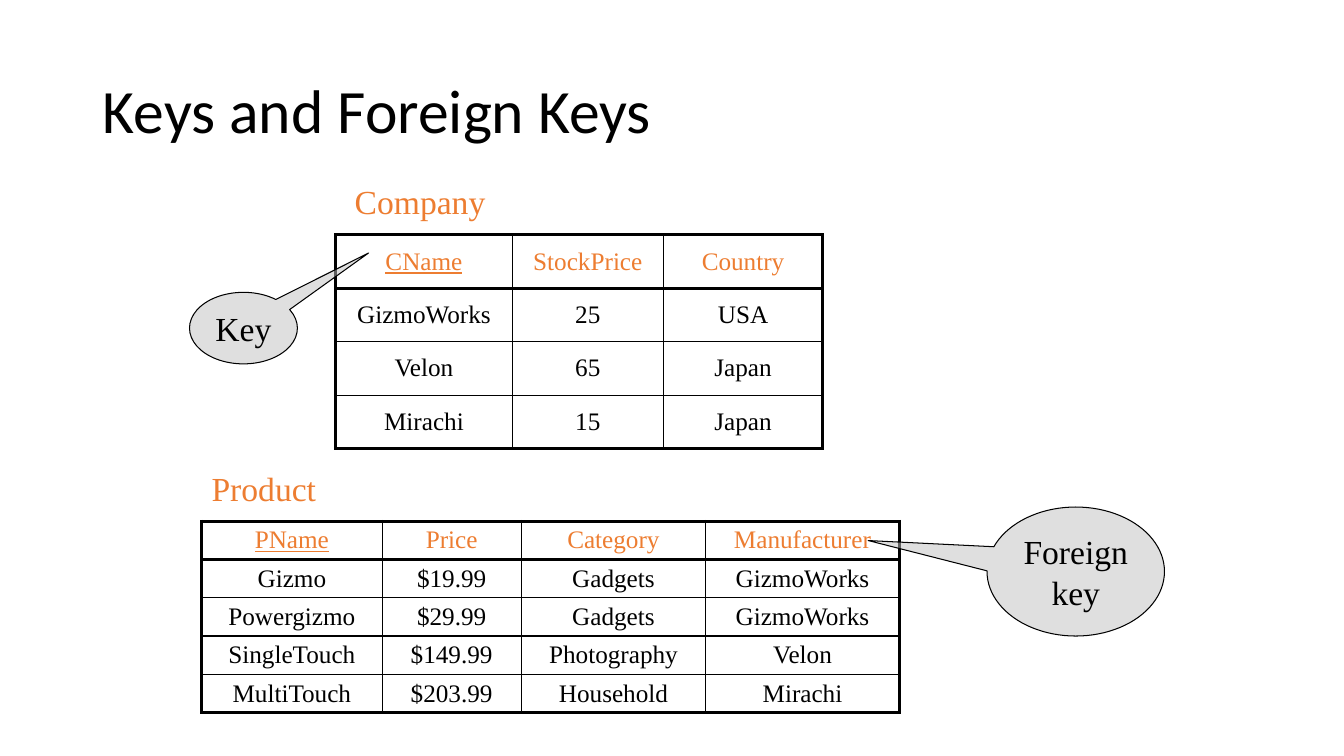
from lxml import etree
from pptx import Presentation
from pptx.dml.color import RGBColor
from pptx.enum.shapes import MSO_SHAPE
from pptx.enum.text import MSO_ANCHOR, PP_ALIGN
from pptx.oxml.ns import qn
from pptx.util import Inches, Pt

BALLOON = MSO_SHAPE.OVAL_CALLOUT
MIDDLE = MSO_ANCHOR.MIDDLE
CENTER, LEFT = PP_ALIGN.CENTER, PP_ALIGN.LEFT
BLACK, ORANGE, GRAY, WHITE = "000000", "ED7D31", "C0C0C0", "FFFFFF"
SERIF, SANS = "Times New Roman", "Calibri"
THIN, THICK = 1, 2.25

FIRMS = [
    ["CName", "StockPrice", "Country"],
    ["GizmoWorks", "25", "USA"],
    ["Velon", "65", "Japan"],
    ["Mirachi", "15", "Japan"],
]
GOODS = [
    ["PName", "Price", "Category", "Manufacturer"],
    ["Gizmo", "$19.99", "Gadgets", "GizmoWorks"],
    ["Powergizmo", "$29.99", "Gadgets", "GizmoWorks"],
    ["SingleTouch", "$149.99", "Photography", "Velon"],
    ["MultiTouch", "$203.99", "Household", "Mirachi"],
]


def color(code):
    return RGBColor.from_string(code)


def write(para, text, size, code=BLACK, face=SERIF, align=LEFT, under=False):
    para.alignment = align
    for num, line in enumerate(text.split("\n")):
        if num:
            para.add_line_break()
        run = para.add_run()
        run.text = line
        font = run.font
        font.size, font.name = Pt(size), face
        font.bold, font.underline = False, under
        font.color.rgb = color(code)


def edge(cell, side, width):
    props = cell._tc.get_or_add_tcPr()
    line = etree.SubElement(props, qn("a:ln" + side), w=str(Pt(width)))
    fill = etree.SubElement(line, qn("a:solidFill"))
    etree.SubElement(fill, qn("a:srgbClr"), val=BLACK)


def title(slide, box, text):
    shape = slide.shapes.title
    shape.left, shape.top, shape.width, shape.height = map(Inches, box)
    frame = shape.text_frame
    frame.vertical_anchor = MIDDLE
    para = frame.paragraphs[0]
    para.line_spacing = 0.9
    write(para, text, 44, face=SANS)


def label(slide, box, text):
    frame = slide.shapes.add_textbox(*map(Inches, box)).text_frame
    frame.word_wrap = False
    write(frame.paragraphs[0], text, 24, ORANGE)


def grid(slide, left, top, widths, height, data, back=None):
    rows, cols = len(data), len(widths)
    box = (left, top, sum(widths), height * rows)
    table = slide.shapes.add_table(rows, cols, *map(Inches, box)).table
    table.first_row = table.horz_banding = False
    for col, width in zip(table.columns, widths):
        col.width = Inches(width)
    for r, line in enumerate(data):
        table.rows[r].height = Inches(height)
        for c, text in enumerate(line):
            cell = table.cell(r, c)
            cell.vertical_anchor = MIDDLE
            cell.margin_top = cell.margin_bottom = Inches(0.04)
            head = r == 0
            write(cell.text_frame.paragraphs[0], text, 18,
                  ORANGE if head else BLACK, align=CENTER,
                  under=head and c == 0)
            heavy = {"L": c == 0, "R": c == cols - 1,
                     "T": r < 2, "B": r in (0, rows - 1)}
            for side, bold in heavy.items():
                edge(cell, side, THICK if bold else THIN)
            if back:
                cell.fill.solid()
                cell.fill.fore_color.rgb = color(back)
            else:
                cell.fill.background()


def balloon(slide, box, tip, text):
    shape = slide.shapes.add_shape(BALLOON, *map(Inches, box))
    shape.shadow.inherit = False
    for num, value in enumerate(tip):
        shape.adjustments[num] = value
    shape.fill.solid()
    shape.fill.fore_color.rgb = color(GRAY)
    tint = shape.fill._xPr.find(".//" + qn("a:srgbClr"))
    etree.SubElement(tint, qn("a:alpha"), val="50000")
    shape.line.color.rgb = color(BLACK)
    shape.line.width = Pt(0.75)
    frame = shape.text_frame
    frame.word_wrap = False
    frame.vertical_anchor = MIDDLE
    write(frame.paragraphs[0], text, 24, align=CENTER)


def main():
    deck = Presentation()
    deck.slide_width, deck.slide_height = Inches(13.33), Inches(7.5)
    slide = deck.slides.add_slide(deck.slide_layouts[5])
    title(slide, (0.92, 0.4, 11.5, 1.45), "Keys and Foreign Keys")
    grid(slide, 2, 5.17, (1.79, 1.38, 1.83, 1.92), 0.38, GOODS)
    label(slide, (2, 4.59, 1.24, 0.5), "Product")
    label(slide, (3.42, 1.75, 1.5, 0.5), "Company")
    grid(slide, 3.33, 2.33, (1.75, 1.5, 1.58), 0.53, FIRMS, WHITE)
    balloon(slide, (1.88, 2.9, 1.07, 0.71), (1.16, -1.05), "Key")
    balloon(slide, (9.79, 5.03, 1.76, 1.28), (-1.17, -0.24), "Foreign\nkey")
    deck.save("out.pptx")


if __name__ == "__main__":
    main()
